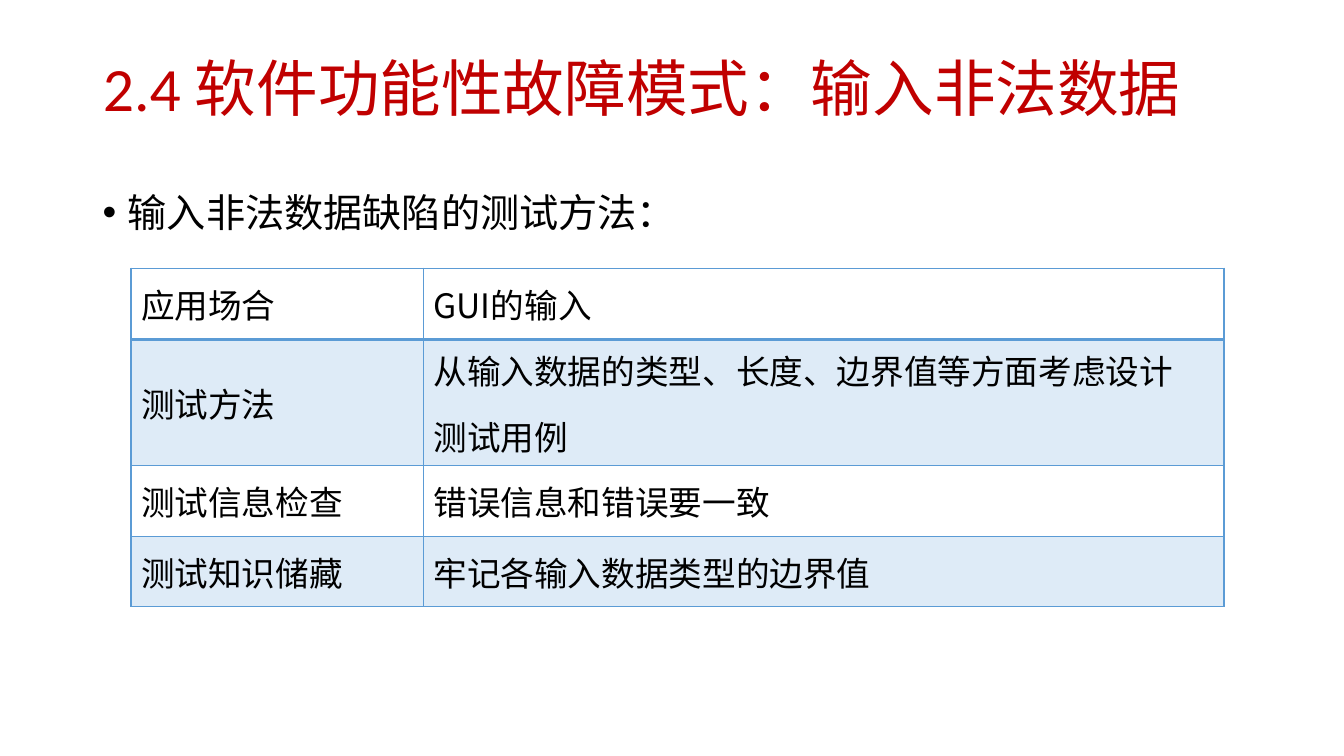
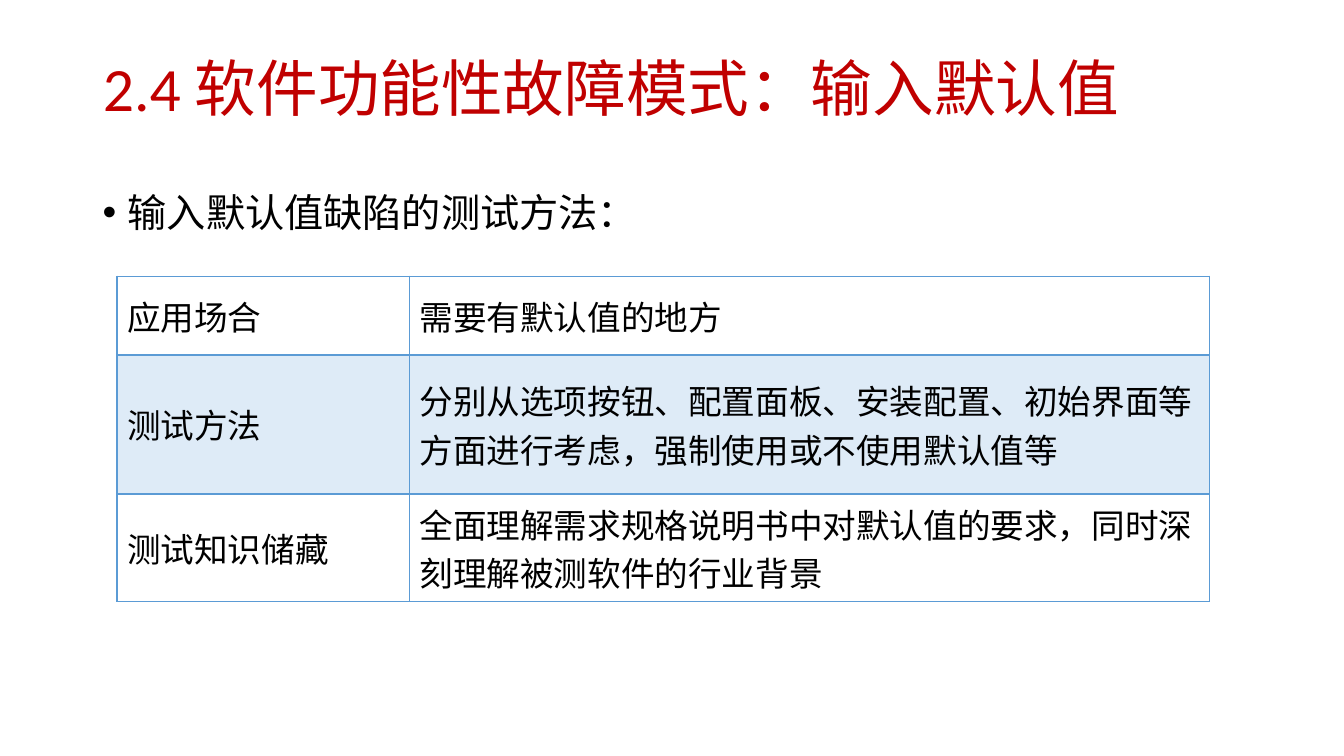
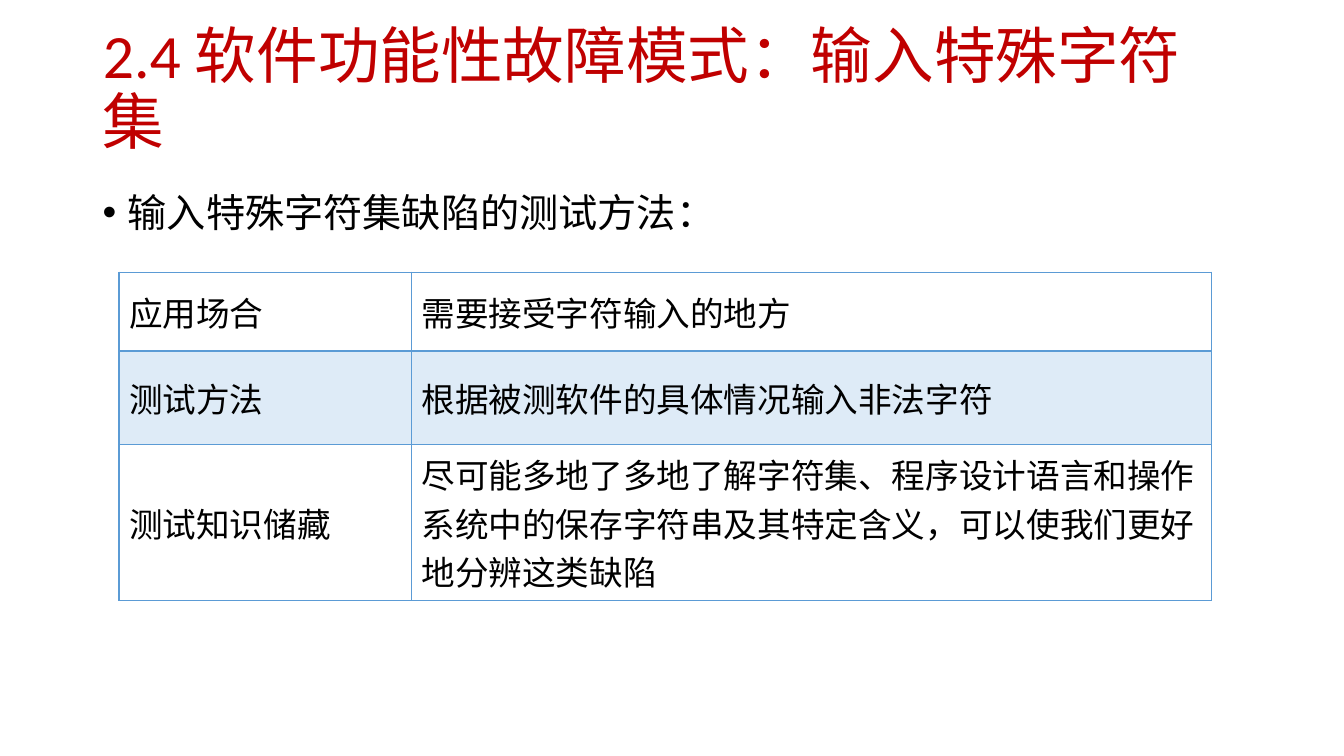
from dataclasses import dataclass

import lxml.etree
import pptx
import pptx.dml.color
import pptx.enum.text
import pptx.oxml.ns
import pptx.presentation
import pptx.slide
import pptx.table
import pptx.text.text
import pptx.util

Inches = pptx.util.Inches

# Shared style
LATIN_FONT = "Calibri"
CHINESE_FONT = "Noto Sans CJK SC"
RED, BLACK, WHITE = "C00000", "000000", "FFFFFF"
BLUE, PALE_BLUE = "5B9BD5", "DEEBF7"
COLUMN_WIDTHS = (2.9, 7.94)
TITLE_PREFIX = "2.4 软件功能性故障模式："
TITLE_ONLY = 5


@dataclass
class Row:
    label: str
    lines: list[str]
    height: float


@dataclass
class Topic:
    name: str
    table_left: float
    table_top: float
    rows: list[Row]

    @property
    def lead(self) -> str:
        return f"{self.name}缺陷的测试方法："


TOPICS = [
    Topic("输入非法数据", 1.3, 2.66, [
        Row("应用场合", ["GUI的输入"], 0.71),
        Row("测试方法", ["从输入数据的类型、长度、边界值等方面考虑设计", "测试用例"], 1.25),
        Row("测试信息检查", ["错误信息和错误要一致"], 0.7),
        Row("测试知识储藏", ["牢记各输入数据类型的边界值"], 0.7),
    ]),
    Topic("输入默认值", 1.16, 2.74, [
        Row("应用场合", ["需要有默认值的地方"], 0.78),
        Row("测试方法", ["分别从选项按钮、配置面板、安装配置、初始界面等方面进行考虑，"
                     "强制使用或不使用默认值等"], 1.38),
        Row("测试知识储藏", ["全面理解需求规格说明书中对默认值的要求，"
                       "同时深刻理解被测软件的行业背景"], 1.07),
    ]),
    Topic("输入特殊字符集", 1.18, 2.7, [
        Row("应用场合", ["需要接受字符输入的地方"], 0.78),
        Row("测试方法", ["根据被测软件的具体情况输入非法字符"], 0.93),
        Row("测试知识储藏", ["尽可能多地了多地了解字符集、程序设计语言和操作系统中的保存字符串"
                       "及其特定含义，可以使我们更好地分辨这类缺陷"], 1.55),
    ]),
]


def color(value: str) -> pptx.dml.color.RGBColor:
    return pptx.dml.color.RGBColor.from_string(value)


def add_element(parent: lxml.etree._Element, tag: str, **attributes: str) -> lxml.etree._Element:
    return lxml.etree.SubElement(parent, pptx.oxml.ns.qn(tag), attributes)


def set_font(para: pptx.text.text._Paragraph, size: float, value: str,
             latin: str = CHINESE_FONT) -> None:
    para.font.size = pptx.util.Pt(size)
    para.font.name = latin
    para.font.color.rgb = color(value)
    properties = para._p.pPr.find(pptx.oxml.ns.qn("a:defRPr"))
    add_element(properties, "a:ea", typeface=CHINESE_FONT)


def add_title(slide: pptx.slide.Slide, text: str) -> None:
    title = slide.shapes.title
    title.left, title.top = Inches(0.92), Inches(0.4)
    title.width, title.height = Inches(11.5), Inches(1.02)
    frame = title.text_frame
    frame.text = text
    frame.auto_size = pptx.enum.text.MSO_AUTO_SIZE.NONE
    frame.vertical_anchor = pptx.enum.text.MSO_ANCHOR.MIDDLE
    para = frame.paragraphs[0]
    para.alignment = pptx.enum.text.PP_ALIGN.LEFT
    para.line_spacing = 0.9
    set_font(para, 44, RED, LATIN_FONT)


def add_lead(slide: pptx.slide.Slide, text: str) -> None:
    box = slide.shapes.add_textbox(Inches(0.92), Inches(1.68), Inches(11.5), Inches(0.9))
    box.text_frame.word_wrap = True
    para = box.text_frame.paragraphs[0]
    para.text = text
    para.line_spacing = 1.3
    # Hanging bullet
    properties = para._p.get_or_add_pPr()
    properties.set("marL", str(Inches(0.25)))
    properties.set("indent", str(Inches(-0.25)))
    add_element(properties, "a:buFont", typeface="Arial")
    add_element(properties, "a:buChar", char="•")
    set_font(para, 28, BLACK)


def set_borders(cell: pptx.table._Cell, top: float, bottom: float) -> None:
    properties = cell._tc.get_or_add_tcPr()
    for side, width in (("L", 1), ("R", 1), ("T", top), ("B", bottom)):
        line = add_element(properties, f"a:ln{side}", w=str(pptx.util.Pt(width)))
        add_element(add_element(line, "a:solidFill"), "a:srgbClr", val=BLUE)


def fill_cell(cell: pptx.table._Cell, lines: list[str], row_index: int) -> None:
    # The rule under the first row is heavier
    set_borders(cell, top=2 if row_index == 1 else 1, bottom=2 if row_index == 0 else 1)
    cell.fill.solid()
    cell.fill.fore_color.rgb = color(PALE_BLUE if row_index % 2 else WHITE)
    cell.vertical_anchor = pptx.enum.text.MSO_ANCHOR.MIDDLE
    cell.text = "\n".join(lines)
    for index, para in enumerate(cell.text_frame.paragraphs):
        if index:
            para.space_before = pptx.util.Pt(6)
        para.space_after = pptx.util.Pt(6)
        set_font(para, 24, BLACK)


def add_method_table(slide: pptx.slide.Slide, topic: Topic) -> None:
    height = sum(row.height for row in topic.rows)
    table = slide.shapes.add_table(
        len(topic.rows), len(COLUMN_WIDTHS), Inches(topic.table_left),
        Inches(topic.table_top), Inches(sum(COLUMN_WIDTHS)), Inches(height)).table
    table.first_row = table.horz_banding = False
    for column, width in zip(table.columns, COLUMN_WIDTHS):
        column.width = Inches(width)
    for index, row in enumerate(topic.rows):
        table.rows[index].height = Inches(row.height)
        fill_cell(table.cell(index, 0), [row.label], index)
        fill_cell(table.cell(index, 1), row.lines, index)


def add_topic_slide(deck: pptx.presentation.Presentation, topic: Topic) -> None:
    slide = deck.slides.add_slide(deck.slide_layouts[TITLE_ONLY])
    add_title(slide, TITLE_PREFIX + topic.name)
    add_lead(slide, topic.lead)
    add_method_table(slide, topic)


def main() -> None:
    deck = pptx.Presentation()
    deck.slide_width, deck.slide_height = Inches(13.33), Inches(7.5)
    for topic in TOPICS:
        add_topic_slide(deck, topic)
    deck.save("out.pptx")


if __name__ == "__main__":
    main()
